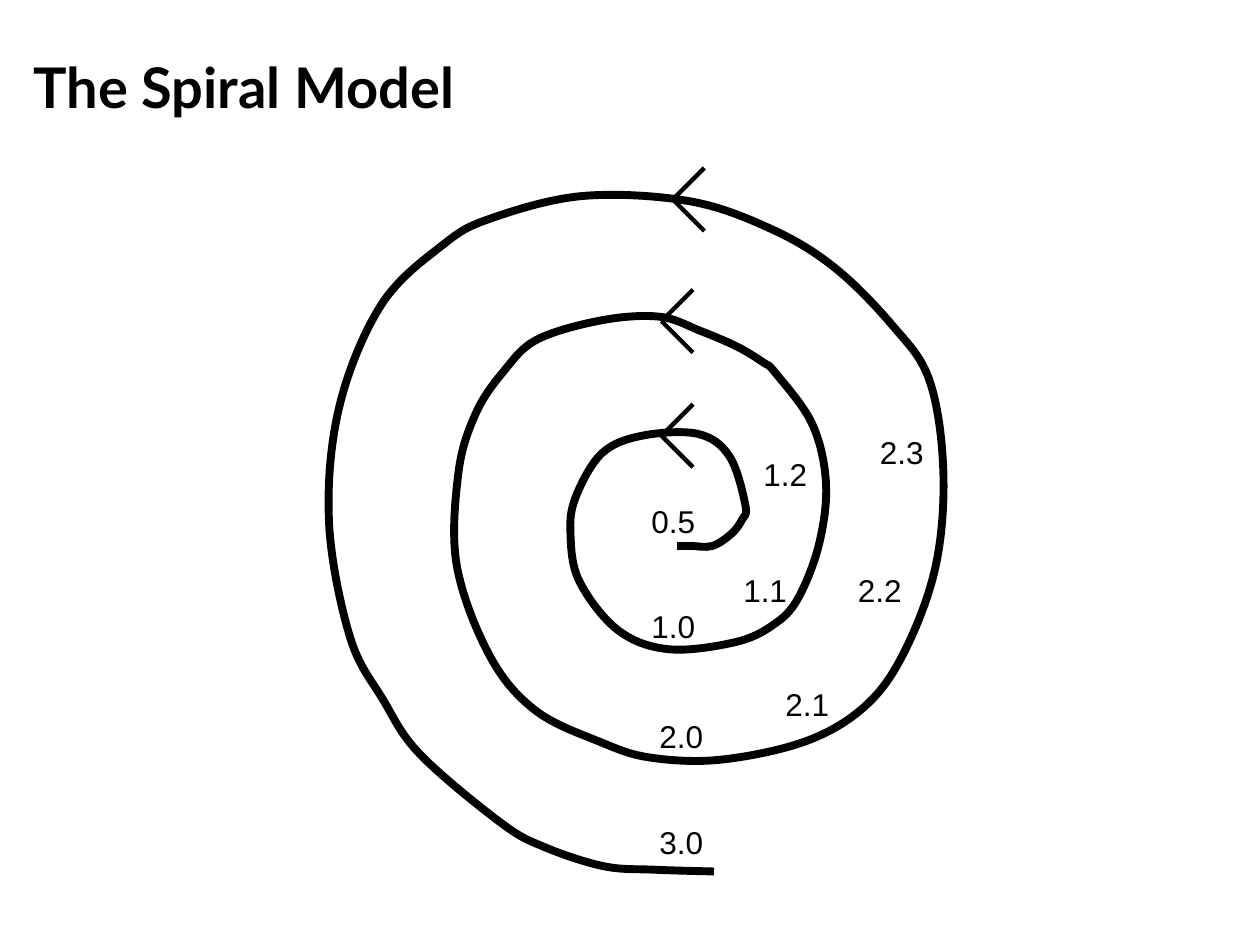
"""Build the spiral model slide: a smooth spiral with arrowheads and version labels."""
from lxml import etree
from pptx import Presentation
from pptx.dml.color import RGBColor
from pptx.enum.shapes import MSO_CONNECTOR
from pptx.enum.text import MSO_ANCHOR, MSO_AUTO_SIZE, PP_ALIGN
from pptx.oxml.ns import qn
from pptx.util import Pt

STRAIGHT = MSO_CONNECTOR.STRAIGHT
MIDDLE = MSO_ANCHOR.MIDDLE
FIT_SHAPE = MSO_AUTO_SIZE.SHAPE_TO_FIT_TEXT
LEFT, CENTER = PP_ALIGN.LEFT, PP_ALIGN.CENTER
COLORS = {"ink": "000000", "background": "FFFFFF"}
INK = RGBColor.from_string(COLORS["ink"])

SPIRAL_KNOTS = [
    (387, 312), (395, 312), (407, 312), (418, 305), (424, 297), (426, 289),
    (417, 261), (399, 248), (367, 249), (344, 259), (329, 284), (326, 305),
    (331, 332), (353, 360), (382, 371), (420, 367), (442, 357), (456, 342),
    (468, 311), (472, 276), (464, 242), (443, 213), (436, 207), (421, 198),
    (400, 189), (377, 181), (344, 183), (307, 194), (288, 212), (272, 236),
    (262, 270), (261, 323), (280, 375), (306, 406), (343, 424), (372, 433),
    (413, 434), (462, 423), (496, 402), (518, 370), (535, 322), (539, 268),
    (531, 217), (510, 186), (477, 153), (441, 131), (394, 115), (333, 112),
    (280, 125), (253, 140), (218, 174), (194, 232), (188, 298), (200, 364),
    (219, 400), (240, 431), (286, 470), (311, 484), (345, 495), (374, 497),
    (408, 498),
]
VERSION_LABELS = [
    ("1.0", 365, 343.5), ("0.5", 365, 283.5), ("2.0", 369.5, 406),
    ("3.0", 369.5, 466.5), ("1.1", 417.5, 322.5), ("1.2", 429, 256.5),
    ("2.1", 441.5, 388), ("2.2", 483, 322.5), ("2.3", 495.5, 244),
]
ARROW_TIPS = [(384.5, 114), (378, 183.5), (378, 249)]
ARROW_REACH = 18

deck = Presentation()
deck.slide_width, deck.slide_height = Pt(720), Pt(540)
page = deck.slides.add_slide(deck.slide_layouts[6])
page.background.fill.solid()
page.background.fill.fore_color.rgb = RGBColor.from_string(COLORS["background"])


def add_text(text, left, top, width, height, font, size, bold, alignment):
    box = page.shapes.add_textbox(Pt(left), Pt(top), Pt(width), Pt(height))
    frame = box.text_frame
    frame.text = text
    para = frame.paragraphs[0]
    para.alignment = alignment
    span = para.runs[0]
    span.font.name, span.font.size, span.font.bold = font, Pt(size), bold
    span.font.color.rgb = INK
    return frame


title = add_text("The Spiral Model", 12, 8.5, 684, 81, "Lato", 32, True, LEFT)
title.word_wrap = True
title.vertical_anchor = MIDDLE

knots = [(x * 100, y * 100) for x, y in SPIRAL_KNOTS]
builder = page.shapes.build_freeform(*knots[0], scale=Pt(1) / 100)
builder.add_line_segments(knots[1:], close=False)
spiral = builder.convert_to_shape()
spiral.shadow.inherit = False
spiral.fill.background()
spiral.line.color.rgb = INK
spiral.line.width = Pt(4.5)

points = [(int(point.get("x")), int(point.get("y")))
          for point in spiral.element.iter(qn("a:pt"))]
padded = [points[0], *points, points[-1]]
segments = list(spiral.element.iter(qn("a:lnTo")))
for segment, before, start, end, after in zip(
        segments, padded, padded[1:], padded[2:], padded[3:]):
    leave = [s + (e - b) / 6 for b, s, e in zip(before, start, end)]
    arrive = [e - (a - s) / 6 for s, e, a in zip(start, end, after)]
    segment.tag = qn("a:cubicBezTo")
    for index, (x, y) in enumerate((leave, arrive)):
        control = etree.Element(qn("a:pt"), x=str(round(x)), y=str(round(y)))
        segment.insert(index, control)

for version, left, top in VERSION_LABELS:
    label = add_text(version, left, top, 39.5, 29, "Arial", 18, False, CENTER)
    label.word_wrap = False
    label.auto_size = FIT_SHAPE

for x, y in ARROW_TIPS:
    for rise in (ARROW_REACH, -ARROW_REACH):
        barb = page.shapes.add_connector(
            STRAIGHT, Pt(x), Pt(y), Pt(x + ARROW_REACH), Pt(y + rise))
        barb.line.color.rgb = INK
        barb.line.width = Pt(2.5)
        etree.SubElement(barb.element.spPr, qn("a:effectLst"))

deck.save("out.pptx")
